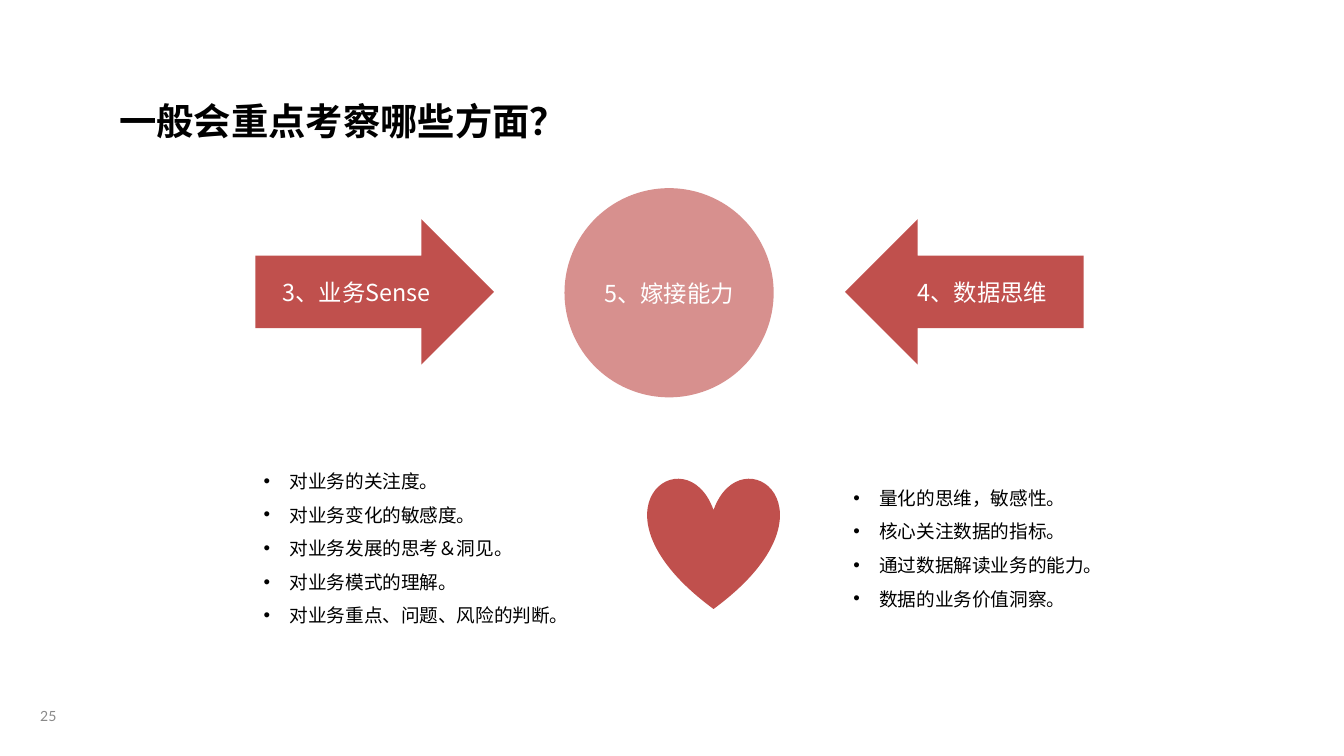
import pptx
import pptx.util
import pptx.dml.color
import pptx.enum.shapes
import pptx.enum.text
import pptx.oxml
import pptx.oxml.ns
from lxml import etree

Inches, Pt = pptx.util.Inches, pptx.util.Pt
RGBColor = pptx.dml.color.RGBColor
Shape = pptx.enum.shapes.MSO_SHAPE
Align = pptx.enum.text.PP_ALIGN
Anchor = pptx.enum.text.MSO_ANCHOR
qn = pptx.oxml.ns.qn

BLACK = RGBColor(0x00, 0x00, 0x00)
WHITE = RGBColor(0xFF, 0xFF, 0xFF)
GRAY = RGBColor(0x89, 0x89, 0x89)
RED = RGBColor(0xC0, 0x50, 0x4D)
SANS = "Noto Sans CJK SC"

LEFT, RIGHT = 3.04, 10.06
SENSE = [
    "对业务的关注度。",
    "对业务变化的敏感度。",
    "对业务发展的思考＆洞见。",
    "对业务模式的理解。",
    "对业务重点、问题、风险的判断。",
]
DATA = [
    "量化的思维，敏感性。",
    "核心关注数据的指标。",
    "通过数据解读业务的能力。",
    "数据的业务价值洞察。",
]


def style(para, size, color, face=SANS, bold=False):
    """Format every run of a paragraph, East Asian font included."""
    for run in para.runs:
        font = run.font
        font.size, font.bold, font.name = Pt(size), bold, face
        font.color.rgb = color
        latin = font._element.find(qn("a:latin"))
        east = etree.Element(qn("a:ea"), typeface=face)
        latin.addnext(east)


def add_text(slide, box, text, size, color, **look):
    """Add a wrapping text box and return its frame."""
    frame = slide.shapes.add_textbox(*map(Inches, box)).text_frame
    frame.word_wrap = True
    frame.text = text
    for para in frame.paragraphs:
        style(para, size, color, **look)
    return frame


def add_list(slide, box, items):
    """Add a bulleted list with hanging indents."""
    frame = add_text(slide, box, "\n".join(items), 16, BLACK)
    for para in frame.paragraphs:
        para.line_spacing = Pt(28.8)
        props = para._p.get_or_add_pPr()
        props.set("marL", str(Inches(0.31)))
        props.set("indent", str(-Inches(0.31)))
        etree.SubElement(props, qn("a:buFont"), typeface="Arial")
        etree.SubElement(props, qn("a:buChar"), char="•")


def add_form(slide, kind, box, text="", alpha=100):
    """Add a red shape with an optional centred label."""
    shape = slide.shapes.add_shape(kind, *map(Inches, box))
    shape.shadow.inherit = False
    shape.line.fill.background()
    shape.fill.solid()
    shape.fill.fore_color.rgb = RED
    if alpha < 100:
        tint = shape.element.spPr.find(".//" + qn("a:srgbClr"))
        etree.SubElement(tint, qn("a:alpha"), val=str(alpha * 1000))
    if text:
        frame = shape.text_frame
        frame.word_wrap = True
        frame.vertical_anchor = Anchor.MIDDLE
        frame.text = text
        para = frame.paragraphs[0]
        para.alignment = Align.CENTER
        para.line_spacing = Pt(24)
        style(para, 20, WHITE)


def add_page(slide, text):
    """Add the page number."""
    frame = add_text(slide, (0.2, 8.28, 0.75, 0.48), text, 12, GRAY, face="Lato")
    frame.vertical_anchor = Anchor.MIDDLE
    frame.margin_left = frame.margin_right = Inches(0.08)
    frame.margin_top = frame.margin_bottom = Inches(0.04)
    frame.paragraphs[0].alignment = Align.CENTER


def main():
    """Build the slide and save it."""
    deck = pptx.Presentation()
    deck.slide_width, deck.slide_height = Inches(16), Inches(9)
    slide = deck.slides.add_slide(deck.slide_layouts[6])

    add_page(slide, "25")
    title = add_text(slide, (1.32, 1.07, 7.13, 0.64),
                     "一般会重点考察哪些方面？", 32, BLACK, bold=True)
    title.paragraphs[0].line_spacing = Pt(42)

    add_form(slide, Shape.RIGHT_ARROW, (LEFT, 2.61, 2.84, 1.73), "3、业务Sense")
    add_form(slide, Shape.LEFT_ARROW, (RIGHT, 2.61, 2.84, 1.73), "4、数据思维")
    add_form(slide, Shape.OVAL, (6.72, 2.24, 2.49, 2.49), "5、嫁接能力", 63)
    add_form(slide, Shape.HEART, (7.71, 5.68, 1.57, 1.57))

    add_list(slide, (LEFT, 5.41, 3.9, 2.12), SENSE)
    add_list(slide, (RIGHT, 5.61, 4.95, 1.72), DATA)
    deck.save("out.pptx")


if __name__ == "__main__":
    main()
